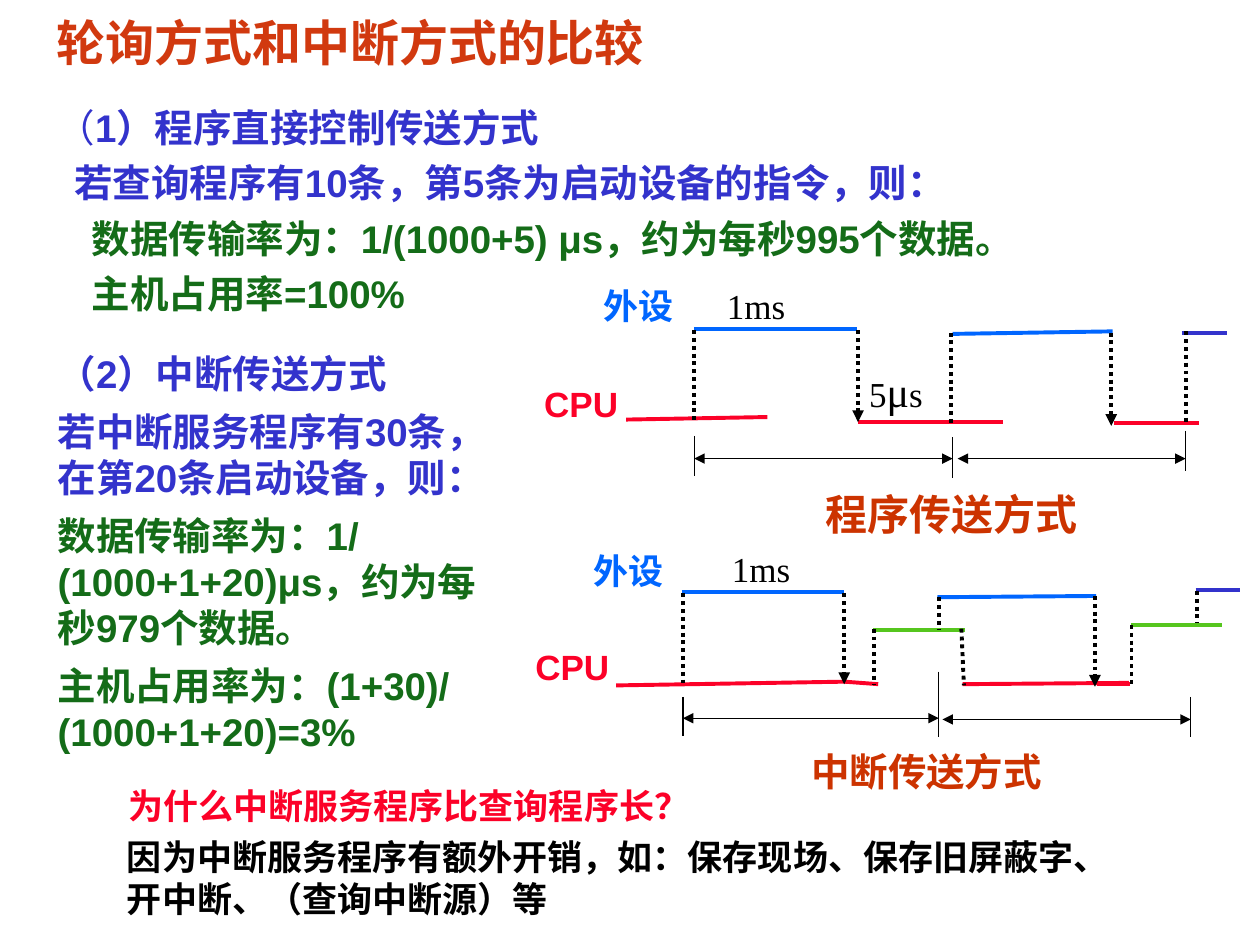
from lxml.etree import SubElement
from pptx import Presentation
from pptx.dml.color import RGBColor
from pptx.enum.dml import MSO_LINE
from pptx.enum.lang import MSO_LANGUAGE_ID
from pptx.enum.shapes import MSO_CONNECTOR, MSO_SHAPE
from pptx.enum.text import MSO_ANCHOR, MSO_AUTO_SIZE, PP_ALIGN
from pptx.oxml.ns import qn
from pptx.util import Inches, Pt

SANS, SERIF, CJK = "Arial", "Times New Roman", "Noto Sans CJK SC"
ORANGE, RUST, INDIGO, GREEN = "D1390F", "CC3300", "3333CC", "146C18"
RED, BLUE, LIME, BLACK, WHITE = "FC0128", "0066FF", "56C61E", "000000", "FFFFFF"

TITLE = "轮询方式和中断方式的比较"

# Each paragraph: left indent, then runs of (text, size, font, colour, bold)
POLLING = [
    (0, [("（", 22, SANS, INDIGO, False), ("1）程序直接控制传送方式", 22, SANS, INDIGO, True)]),
    (0.14, [("若查询程序有10条，第5条为启动设备的指令，则：", 22, SANS, INDIGO, True)]),
    (0.28, [("数据传输率为：1/(1000+5) μs，约为每秒995个数据。", 22, SANS, GREEN, True)]),
    (0.28, [("主机占用率=100%", 22, SANS, GREEN, True)]),
]
INTERRUPT = [
    (0, [(text, 22, SANS, color, True)]) for text, color in (
        ("（2）中断传送方式", INDIGO),
        ("若中断服务程序有30条，在第20条启动设备，则：", INDIGO),
        ("数据传输率为：1/(1000+1+20)μs，约为每秒979个数据。", GREEN),
        ("主机占用率为：(1+30)/(1000+1+20)=3%", GREEN),
    )
]
QUESTION = [(0, [("为什么中断服务程序比查询程序长？", 20, SANS, RED, True)])]
ANSWER = [(0, [("因为中断服务程序有额外开销，如：保存现场、保存旧屏蔽字、"
                "开中断、（查询中断源）等", 20, SANS, BLACK, True)])]

# Line styles: colour, width, dotted, arrow at start, arrow at end
STYLES = {
    "cpu": (RED, 2.25, False, False, False),
    "device": (BLUE, 2.25, False, False, False),
    "next device": (INDIGO, 2.25, False, False, False),
    "service": (LIME, 2.25, False, False, False),
    "edge": (BLACK, 2.25, True, False, False),
    "trigger": (BLACK, 2.25, True, False, True),
    "tick": (BLACK, 0.75, False, False, False),
    "period": (BLACK, 0.75, False, True, True),
}

# Each diagram: segments (x1, y1, x2, y2) by style, then labels (box, runs)
DIAGRAMS = [
    {
        "lines": {
            "cpu": [(4.97, 3.33, 6.09, 3.31), (6.81, 3.35, 7.96, 3.35), (8.84, 3.36, 9.52, 3.36)],
            "device": [(5.51, 2.61, 6.8, 2.61), (7.56, 2.65, 8.83, 2.63)],
            "next device": [(9.38, 2.64, 9.74, 2.64)],
            "edge": [(5.51, 2.62, 5.51, 3.34), (7.55, 2.64, 7.55, 3.37), (9.41, 2.63, 9.41, 3.35)],
            "trigger": [(6.81, 2.62, 6.81, 3.35), (8.82, 2.64, 8.82, 3.38)],
            "tick": [(5.51, 3.46, 5.51, 3.78), (7.56, 3.47, 7.56, 3.79), (9.41, 3.42, 9.41, 3.74)],
            "period": [(5.51, 3.64, 7.56, 3.64), (7.6, 3.64, 9.41, 3.64)],
        },
        "labels": [
            ((4.69, 2.21, 1.19, 0.43), [("外设", 20, SERIF, BLUE, True)]),
            ((4.22, 2.99, 1.3, 0.43), [("CPU", 20, SANS, RED, True)]),
            ((5.67, 2.21, 1.1, 0.43), [("1ms", 20, SERIF, BLACK, False)]),
            ((6.8, 2.85, 1.1, 0.5), [("5", 20, SERIF, BLACK, False),
                                     ("μ", 24, SERIF, BLACK, False),
                                     ("s", 20, SERIF, BLACK, False)]),
            ((6.45, 3.83, 2.23, 0.5), [("程序传送方式", 24, SERIF, RUST, True)]),
        ],
    },
    {
        "lines": {
            "cpu": [(4.89, 5.44, 6.72, 5.41), (6.7, 5.41, 6.97, 5.43),
                    (7.64, 5.43, 8.96, 5.42), (8.71, 5.43, 8.97, 5.43)],
            "device": [(5.41, 4.7, 6.7, 4.7), (7.44, 4.74, 8.7, 4.73)],
            "next device": [(9.49, 4.68, 9.84, 4.68)],
            "service": [(6.93, 5, 7.66, 5), (8.98, 4.96, 9.7, 4.96)],
            "edge": [(5.42, 4.71, 5.42, 5.42), (6.94, 4.99, 6.94, 5.43), (7.45, 4.74, 7.45, 4.99),
                     (7.63, 4.99, 7.65, 5.44), (8.98, 4.96, 8.98, 5.43), (9.5, 4.69, 9.5, 4.94)],
            "trigger": [(6.7, 4.71, 6.7, 5.43), (8.69, 4.73, 8.69, 5.45)],
            "tick": [(5.42, 5.53, 5.42, 5.84), (7.45, 5.33, 7.45, 5.85), (9.45, 5.53, 9.45, 5.85)],
            "period": [(5.42, 5.7, 7.45, 5.7), (7.48, 5.71, 9.45, 5.71)],
        },
        "labels": [
            ((4.61, 4.31, 1.17, 0.43), [("外设", 20, SERIF, BLUE, True)]),
            ((4.15, 5.07, 1.29, 0.43), [("CPU", 20, SANS, RED, True)]),
            ((5.71, 4.3, 1.09, 0.43), [("1ms", 20, SERIF, BLACK, False)]),
            ((6.34, 5.89, 2.05, 0.47), [("中断传送方式", 22, SERIF, RUST, True)]),
        ],
    },
]


def rgb(color):
    return RGBColor.from_string(color)


def place(shape, box):
    shape.left, shape.top, shape.width, shape.height = map(Inches, box)


def write(shape, paragraphs, space_before=0, line_spacing=None):
    frame = shape.text_frame
    frame.word_wrap = True
    frame.auto_size = MSO_AUTO_SIZE.NONE
    for index, (indent, runs) in enumerate(paragraphs):
        paragraph = frame.add_paragraph() if index else frame.paragraphs[0]
        properties = paragraph._p.get_or_add_pPr()
        properties.set("marL", str(Inches(indent)))
        properties.set("indent", "0")
        SubElement(properties, qn("a:buNone"))
        paragraph.alignment = PP_ALIGN.LEFT
        paragraph.space_before = Pt(space_before if index else 0)
        if line_spacing:
            paragraph.line_spacing = line_spacing
        for text, size, font_name, color, bold in runs:
            run = paragraph.add_run()
            run.text = text
            font = run.font
            font.size, font.name, font.bold = Pt(size), font_name, bold
            font.color.rgb = rgb(color)
            font.language_id = MSO_LANGUAGE_ID.SIMPLIFIED_CHINESE


def fill_placeholder(shape, box, paragraphs, line_spacing):
    place(shape, box)
    frame = shape.text_frame
    frame.margin_left = frame.margin_right = Inches(0.07)
    frame.margin_top = frame.margin_bottom = Inches(0.03)
    write(shape, paragraphs, line_spacing=line_spacing)


def add_text(shapes, box, paragraphs, space_before=0):
    write(shapes.add_textbox(*map(Inches, box)), paragraphs, space_before)


def add_line(shapes, segment, style):
    color, width, dotted, start_arrow, end_arrow = STYLES[style]
    connector = shapes.add_connector(MSO_CONNECTOR.STRAIGHT, *map(Inches, segment))
    line = connector.line
    line.color.rgb = rgb(color)
    line.width = Pt(width)
    if dotted:
        line.dash_style = MSO_LINE.ROUND_DOT
    for tag, wanted in (("a:headEnd", start_arrow), ("a:tailEnd", end_arrow)):
        if wanted:
            SubElement(line._get_or_add_ln(), qn(tag), type="triangle")
    SubElement(connector._element.spPr, qn("a:effectLst"))


def add_diagram(slide, diagram):
    shapes = slide.shapes.add_group_shape().shapes
    for style, segments in diagram["lines"].items():
        for segment in segments:
            add_line(shapes, segment, style)
    for box, runs in diagram["labels"]:
        add_text(shapes, box, [(0, runs)])


def main():
    presentation = Presentation()
    presentation.slide_width, presentation.slide_height = Inches(10), Inches(7.5)
    slide = presentation.slides.add_slide(presentation.slide_layouts[1])

    fill_placeholder(slide.shapes.title, (0.38, 0.14, 6.94, 0.46),
                     [(0, [(TITLE, 28, CJK, ORANGE, True)])], 0.87)
    fill_placeholder(slide.placeholders[1], (0.38, 0.72, 8.56, 2.25), POLLING, 1.2)
    add_text(slide.shapes, (0.36, 2.73, 3.73, 3.36), INTERRUPT, space_before=6.6)
    for diagram in DIAGRAMS:
        add_diagram(slide, diagram)
    add_text(slide.shapes, (0.92, 6.18, 4.79, 0.43), QUESTION)

    answer = slide.shapes.add_shape(MSO_SHAPE.RECTANGLE, *map(Inches, (0.91, 6.58, 8.13, 0.77)))
    answer.shadow.inherit = False
    answer.fill.solid()
    answer.fill.fore_color.rgb = rgb(WHITE)
    answer.line.fill.background()
    answer.text_frame.vertical_anchor = MSO_ANCHOR.TOP
    write(answer, ANSWER)

    presentation.save("out.pptx")


if __name__ == "__main__":
    main()
